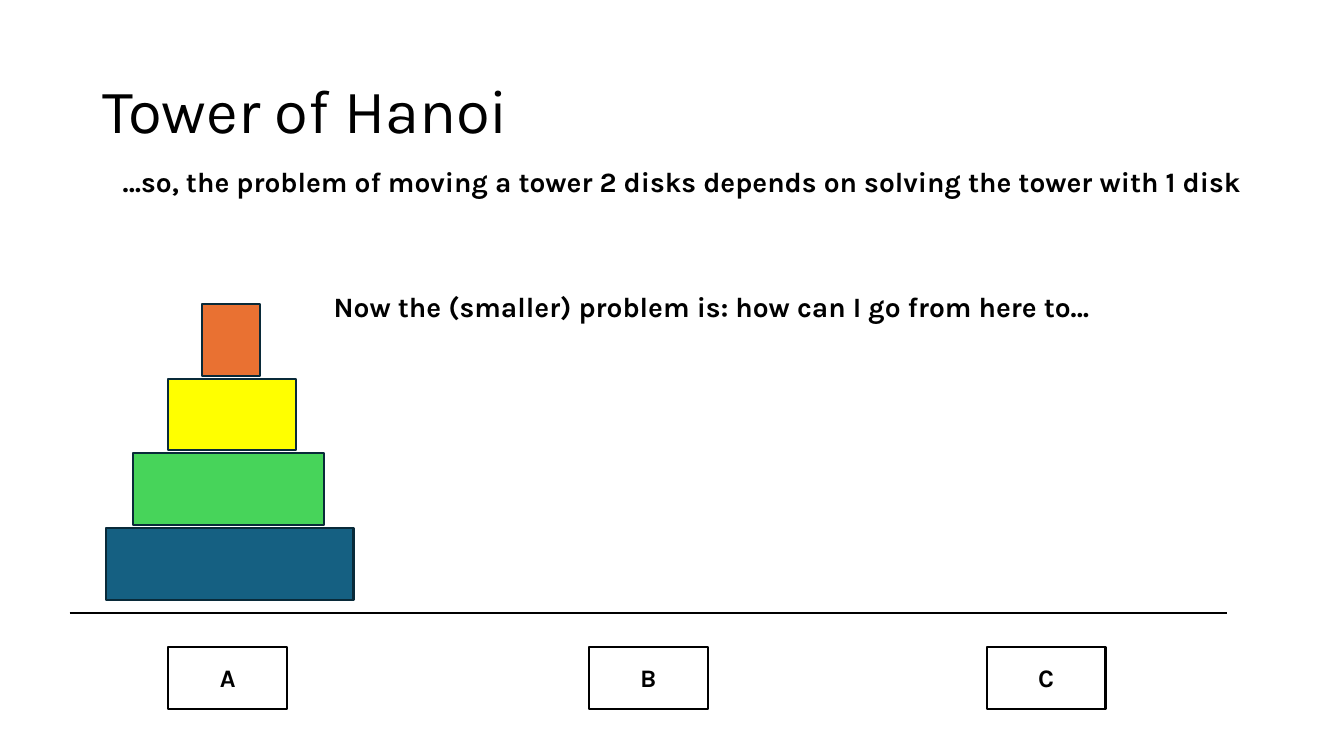
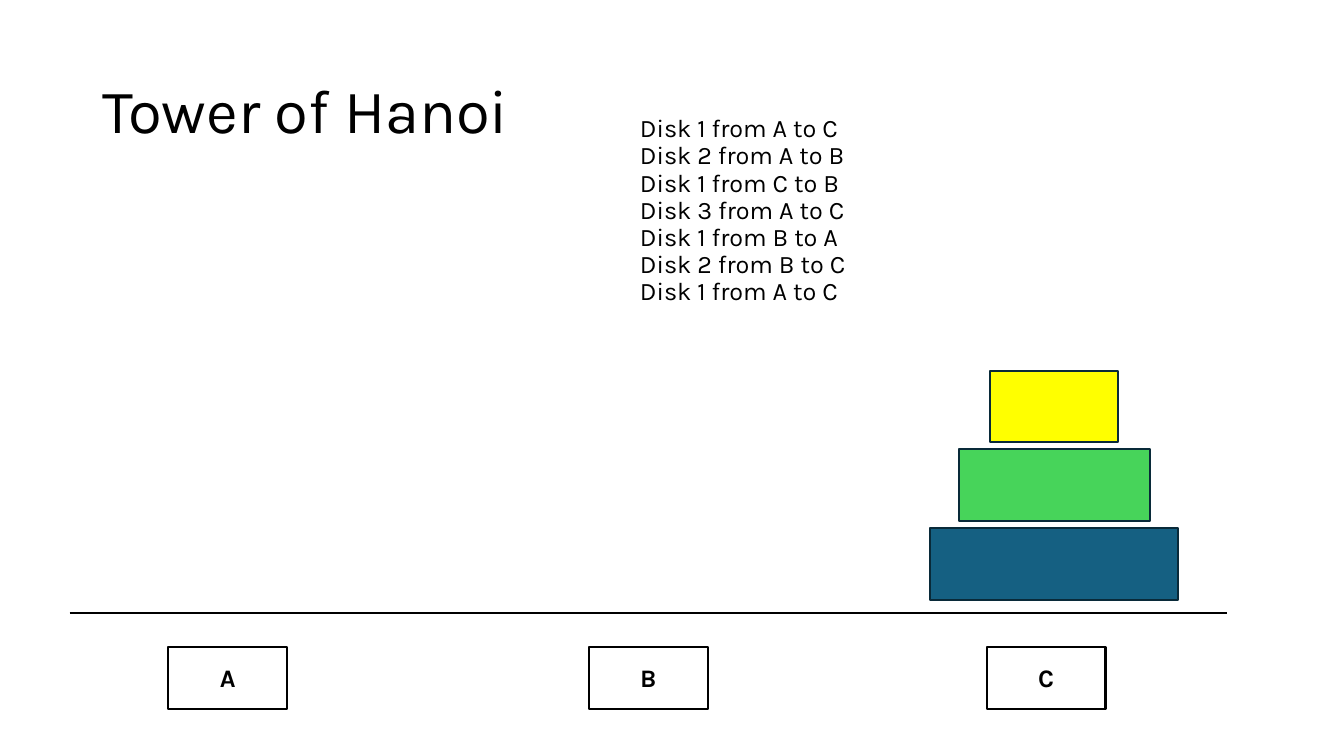
from dataclasses import dataclass

from lxml.etree import SubElement
from pptx import Presentation
from pptx.dml.color import RGBColor
from pptx.enum.shapes import MSO_CONNECTOR, MSO_SHAPE
from pptx.enum.text import MSO_ANCHOR as Anchor, MSO_AUTO_SIZE as AutoSize, PP_ALIGN as Align
from pptx.oxml.ns import qn
from pptx.shapes.autoshape import Shape
from pptx.slide import Slide
from pptx.util import Pt

FONT = "Karla"
BLACK = RGBColor(0x00, 0x00, 0x00)
WHITE = RGBColor(0xFF, 0xFF, 0xFF)
DISK_OUTLINE = RGBColor(0x09, 0x2A, 0x39)
BLUE = RGBColor(0x15, 0x60, 0x82)
GREEN = RGBColor(0x47, 0xD4, 0x5A)
YELLOW = RGBColor(0xFF, 0xFF, 0x00)
ORANGE = RGBColor(0xE9, 0x71, 0x32)

LINE_WIDTH = 1.5
DISK_HEIGHT = 51.2
BOTTOM_DISK_TOP = 377.2
FLOOR_LEFT, FLOOR_RIGHT, FLOOR_TOP = 49.7, 876.2, 437.8
PEG_TOP, PEG_WIDTH, PEG_HEIGHT = 462.2, 85, 44


@dataclass(frozen=True)
class Box:
    left: float
    top: float
    width: float
    height: float


@dataclass(frozen=True)
class Disk:
    width: float
    color: RGBColor


@dataclass(frozen=True)
class Tower:
    lefts: tuple[float, ...]
    step: float


@dataclass(frozen=True)
class Text:
    box: Box
    lines: tuple[str, ...]
    size: float
    bold: bool = False
    spacing: float = 1.0
    anchor: Anchor = Anchor.TOP
    auto_size: AutoSize = AutoSize.SHAPE_TO_FIT_TEXT


@dataclass(frozen=True)
class Scene:
    tower: Tower
    texts: tuple[Text, ...]


DISKS = (Disk(177, BLUE), Disk(136.2, GREEN), Disk(91.6, YELLOW), Disk(41.3, ORANGE))
PEGS = {"A": 120.2, "B": 420.6, "C": 704.7}
TITLE = Text(Box(66, 28.75, 828, 104.4), ("Tower of Hanoi",), 44,
             spacing=0.9, anchor=Anchor.MIDDLE, auto_size=AutoSize.NONE)
MOVES = ("AC", "AB", "CB", "AC", "BA", "BC", "AC")
MOVED_DISKS = (1, 2, 1, 3, 1, 2, 1)

SCENES = (
    Scene(
        Tower((75.6, 95, 120.2, 144.6), 53.3),
        (
            Text(Box(80.6, 113.8, 849.6, 31.5),
                 ("…so, the problem of moving a tower 2 disks depends on solving "
                  "the tower with 1 disk",), 20, bold=True),
            Text(Box(231.2, 203, 570.2, 31.5),
                 ("Now the (smaller) problem is: how can I go from here to…",), 20, bold=True),
        ),
    ),
    Scene(
        Tower((664.5, 685.2, 707.2), 56.2),
        (
            Text(Box(450, 79.2, 480.2, 144.7),
                 tuple(f"Disk {disk} from {start} to {end}"
                       for disk, (start, end) in zip(MOVED_DISKS, MOVES)),
                 18, spacing=0.9),
        ),
    ),
)


def add_text(slide: Slide, text: Text) -> None:
    box = text.box
    shape = slide.shapes.add_textbox(Pt(box.left), Pt(box.top), Pt(box.width), Pt(box.height))
    frame = shape.text_frame
    frame.word_wrap = True
    frame.auto_size = text.auto_size
    frame.vertical_anchor = text.anchor
    frame.text = "\n".join(text.lines)
    for paragraph in frame.paragraphs:
        paragraph.line_spacing = text.spacing
        font = paragraph.font
        font.name, font.size, font.bold = FONT, Pt(text.size), text.bold
        font.color.rgb = BLACK


def add_rectangle(slide: Slide, box: Box, fill: RGBColor, outline: RGBColor) -> Shape:
    shape = slide.shapes.add_shape(
        MSO_SHAPE.RECTANGLE, Pt(box.left), Pt(box.top), Pt(box.width), Pt(box.height))
    shape.shadow.inherit = False
    shape.fill.solid()
    shape.fill.fore_color.rgb = fill
    shape.line.color.rgb = outline
    shape.line.width = Pt(LINE_WIDTH)
    return shape


def add_tower(slide: Slide, tower: Tower) -> None:
    for level, (disk, left) in enumerate(zip(DISKS, tower.lefts)):
        top = BOTTOM_DISK_TOP - level * tower.step
        add_rectangle(slide, Box(left, top, disk.width, DISK_HEIGHT), disk.color, DISK_OUTLINE)


def add_floor(slide: Slide) -> None:
    floor = slide.shapes.add_connector(
        MSO_CONNECTOR.STRAIGHT, Pt(FLOOR_LEFT), Pt(FLOOR_TOP), Pt(FLOOR_RIGHT), Pt(FLOOR_TOP))
    floor.line.color.rgb = BLACK
    floor.line.width = Pt(LINE_WIDTH)
    SubElement(floor._element.spPr, qn("a:effectLst"))


def add_peg(slide: Slide, name: str, left: float) -> None:
    shape = add_rectangle(slide, Box(left, PEG_TOP, PEG_WIDTH, PEG_HEIGHT), WHITE, BLACK)
    frame = shape.text_frame
    frame.vertical_anchor = Anchor.MIDDLE
    frame.text = name
    paragraph = frame.paragraphs[0]
    paragraph.alignment = Align.CENTER
    font = paragraph.font
    font.name, font.size, font.bold = FONT, Pt(18), True
    font.color.rgb = BLACK


def add_scene(presentation: Presentation, scene: Scene) -> None:
    slide = presentation.slides.add_slide(presentation.slide_layouts[6])
    add_text(slide, TITLE)
    add_tower(slide, scene.tower)
    add_floor(slide)
    for name, left in PEGS.items():
        add_peg(slide, name, left)
    for text in scene.texts:
        add_text(slide, text)


def main() -> None:
    presentation = Presentation()
    presentation.slide_width = Pt(960)
    presentation.slide_height = Pt(540)
    for scene in SCENES:
        add_scene(presentation, scene)
    presentation.save("out.pptx")


if __name__ == "__main__":
    main()
